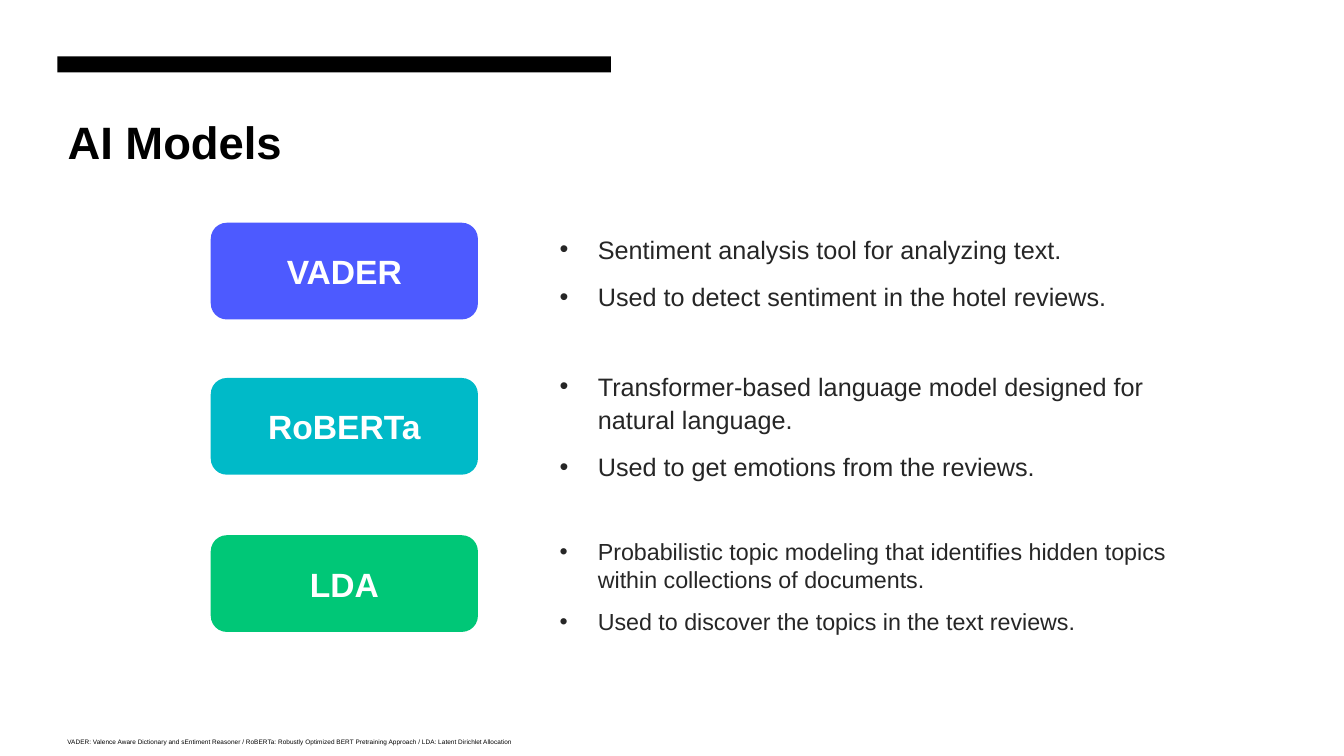
from lxml import etree
from pptx import Presentation
from pptx.dml.color import RGBColor
from pptx.enum.shapes import MSO_SHAPE
from pptx.enum.text import MSO_ANCHOR, MSO_AUTO_SIZE, PP_ALIGN
from pptx.oxml.ns import qn
from pptx.util import Inches, Pt

BLACK = RGBColor(0x00, 0x00, 0x00)
WHITE = RGBColor(0xFF, 0xFF, 0xFF)
GRAY = RGBColor(0x26, 0x26, 0x26)
BLUE = RGBColor(0x4D, 0x5A, 0xFF)
TEAL = RGBColor(0x00, 0xBA, 0xC8)
GREEN = RGBColor(0x00, 0xC7, 0x77)

# Name, colour, box top, list top, list height, text size, line spacing, bullets
MODELS = [
    ("VADER", BLUE, 2.21, 2.18, 0.96, 18, 1.1,
     ["Sentiment analysis tool for analyzing text.",
      "Used to detect sentiment in the hotel reviews."]),
    ("RoBERTa", TEAL, 3.75, 3.53, 1.3, 18, 1.1,
     ["Transformer-based language model designed for natural language.",
      "Used to get emotions from the reviews."]),
    ("LDA", GREEN, 5.31, 5.23, 1.12, 16.6, 1.0,
     ["Probabilistic topic modeling that identifies hidden topics "
      "within collections of documents.",
      "Used to discover the topics in the text reviews."]),
]


def place(sp, left, top, width, height):
    sp.left, sp.top = Inches(left), Inches(top)
    sp.width, sp.height = Inches(width), Inches(height)


def set_font(p, size, color, bold=False):
    p.font.name = "Arial"
    p.font.size = Pt(size)
    p.font.bold = bold
    p.font.color.rgb = color


prs = Presentation()
prs.slide_width, prs.slide_height = Inches(13.33), Inches(7.5)
s = prs.slides.add_slide(prs.slide_layouts.get_by_name("Comparison"))
title, *bodies = s.placeholders

# Top bar
bar = s.shapes.add_shape(MSO_SHAPE.RECTANGLE, Inches(0.57), Inches(0.56),
                         Inches(5.49), Inches(0.16))
bar.shadow.inherit = False
bar.fill.solid()
bar.fill.fore_color.rgb = BLACK
bar.line.fill.background()

# Title
place(title, 0.57, 1.07, 2.41, 0.67)
tf = title.text_frame
tf.text = "AI Models"
tf.auto_size = MSO_AUTO_SIZE.NONE
tf.vertical_anchor = MSO_ANCHOR.MIDDLE
tf.paragraphs[0].alignment = PP_ALIGN.LEFT
set_font(tf.paragraphs[0], 32.4, BLACK, bold=True)

# Model boxes with their bullet lists
for model, body in zip(MODELS, bodies):
    name, color, box_top, list_top, list_height, size, spacing, bullets = model
    box = s.shapes.add_shape(MSO_SHAPE.ROUNDED_RECTANGLE, Inches(2.09),
                             Inches(box_top), Inches(2.65), Inches(0.96))
    box.shadow.inherit = False
    box.fill.solid()
    box.fill.fore_color.rgb = color
    box.line.fill.background()
    tf = box.text_frame
    tf.text = name
    tf.vertical_anchor = MSO_ANCHOR.MIDDLE
    tf.paragraphs[0].alignment = PP_ALIGN.CENTER
    set_font(tf.paragraphs[0], 24, WHITE, bold=True)

    place(body, 5.45, list_top, 6.76, list_height)
    tf = body.text_frame
    tf.text = "\n".join(bullets)
    tf.auto_size = MSO_AUTO_SIZE.NONE
    tf.vertical_anchor = MSO_ANCHOR.BOTTOM
    for p in tf.paragraphs:
        set_font(p, size, GRAY)
        p.line_spacing = spacing
        p.space_before = Pt(10)
        pPr = p._p.get_or_add_pPr()
        pPr.set("marL", str(Inches(0.38)))
        pPr.set("indent", str(-Inches(0.38)))
        bullet = etree.Element(qn("a:buChar"), char="•")
        pPr.find(qn("a:defRPr")).addprevious(bullet)

# Unused fourth body placeholder
spare = bodies[-1].element
spare.getparent().remove(spare)

# Footnote in superscript
note = s.shapes.add_textbox(Inches(0.57), Inches(7.26), Inches(7.13), Inches(0.24))
tf = note.text_frame
tf.word_wrap = True
p = tf.paragraphs[0]
r = p.add_run()
r.text = ("VADER: Valence Aware Dictionary and sEntiment Reasoner / "
          "RoBERTa: Robustly Optimized BERT Pretraining Approach / "
          "LDA: Latent Dirichlet Allocation")
set_font(p, 8, BLACK)
r.font._element.set("baseline", "30000")

prs.save("out.pptx")
